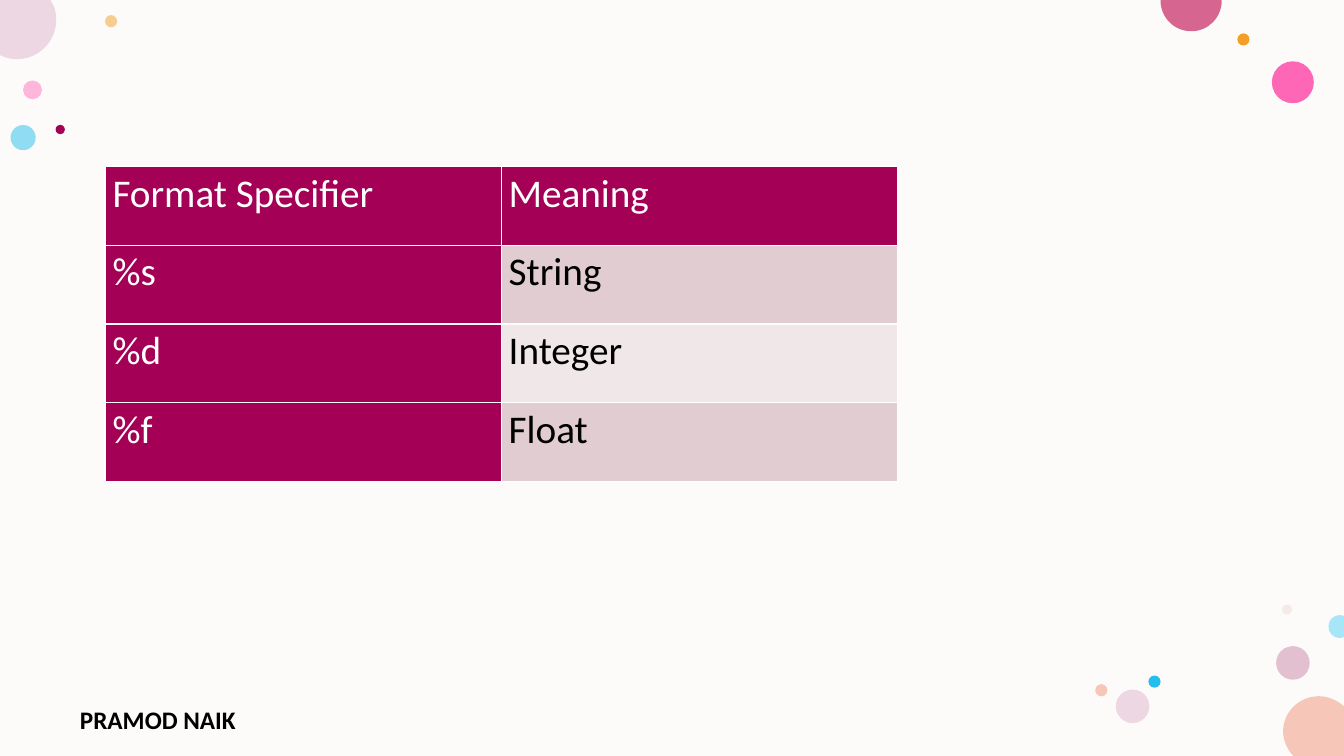
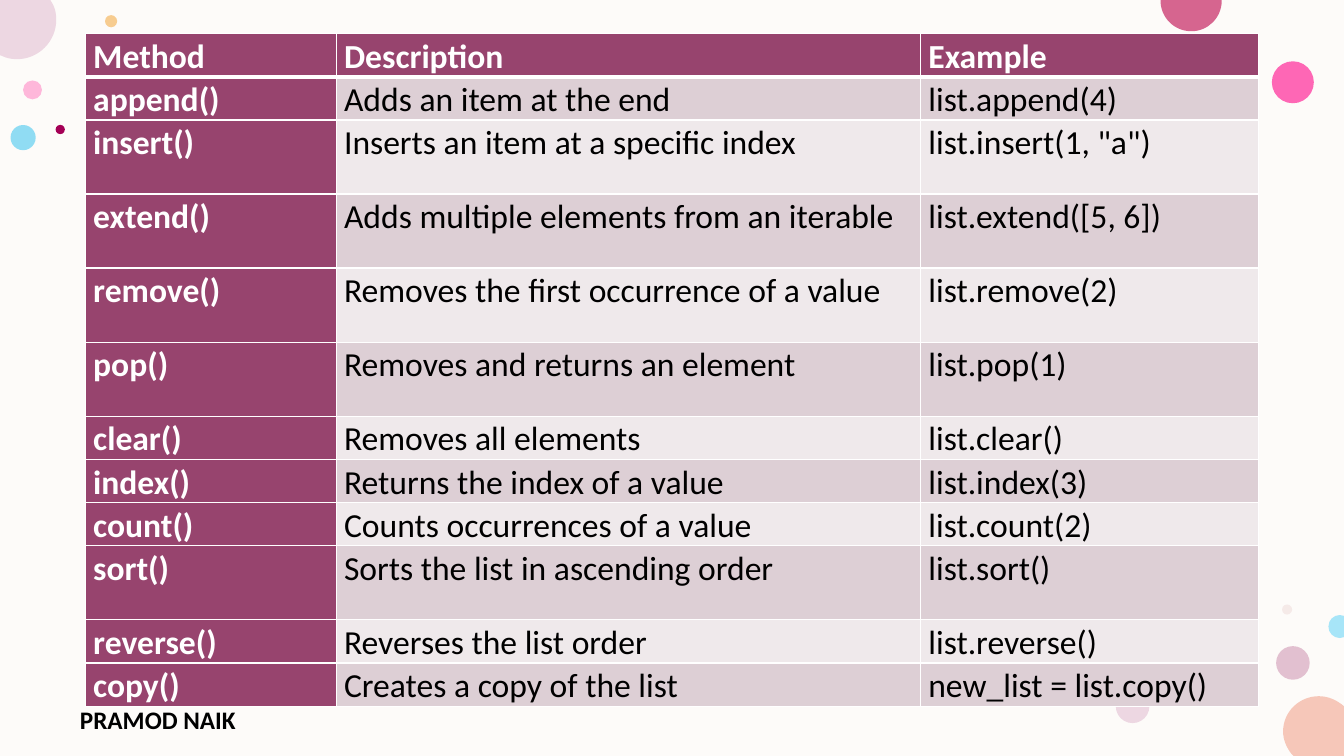
from lxml.etree import SubElement
from pptx import Presentation
from pptx.dml.color import RGBColor
from pptx.enum.shapes import MSO_SHAPE
from pptx.oxml.ns import qn
from pptx.util import Pt

W, H = 960, 540
FONT = "Calibri"
FOOTER = "PRAMOD NAIK"

COLORS = {
    "paper": "FDFBF9", "white": "FFFFFF", "black": "000000",
    "magenta": "A40056", "magenta_mid": "E0CCD1", "magenta_pale": "F0E7E9",
    "plum": "97446E", "plum_mid": "DDCFD5", "plum_pale": "EFE9EB",
    "pink": "FF75BD", "hot_pink": "FF2F9C", "rose": "D6658F",
    "orange": "F39E29", "mauve": "C987A8", "lilac": "EDD7E2",
    "blush": "E3BEBE", "peach": "F6C7B9", "blue": "24BEEE", "sky": "A7E5F8",
}

# left, top, diameter, colour, opacity in percent
DOTS = [
    (16.5, 57.5, 13.5, "pink", 50),
    (75, 10.8, 8.7, "orange", 50),
    (911.5, 461.5, 24, "mauve", 50),
    (7.5, 89.3, 18, "blue", 50),
    (908.5, 43.8, 30, "hot_pink", 72),
    (883.8, 23.8, 8.7, "orange", 100),
    (915.8, 431.8, 7.2, "blush", 28),
    (820.3, 482.5, 8.7, "blue", 100),
    (797, 492.5, 24, "lilac", 100),
    (782.3, 488.7, 8.7, "peach", 100),
    (39.7, 89.2, 6.6, "magenta", 100),
]

# Circles cut by the slide edge: colour, start, then lines (x, y)
# and curves (two control points and an end point)
CUT_CIRCLES = [
    ("peach", (942, 497.3), [
        (949, 497.3, 955, 500.2, 960, 504.5), (960, 540), (924, 540), (922.5, 538.5),
        (919, 534, 916.5, 528.5, 916.5, 522.5), (916.5, 508.5, 928, 497.3, 942, 497.3)]),
    ("lilac", (0, 0), [
        (36, 0), (38, 3.5), (39.5, 6.5, 40.2, 10, 40.2, 14.2),
        (40.2, 29.6, 27.6, 42.3, 12.2, 42.3), (8, 42.3, 4.5, 41.5, 1.5, 40), (0, 39.5)]),
    ("rose", (829.2, 0), [
        (872.6, 0), (872.7, 0.5),
        (872.7, 12.5, 863, 22.3, 851, 22.3), (838.8, 22.3, 829, 12.5, 829, 0.5)]),
    ("sky", (957, 439.3), [
        (960, 439.9), (960, 455.1), (957, 455.7),
        (952.5, 455.7, 948.9, 452, 948.9, 447.5), (948.9, 443, 952.5, 439.3, 957, 439.3)]),
]

SHORT, TALL = 26, 52.9
TABLES = [
    dict(
        left=75, top=119, cols=[283, 283], heights=[56.25] * 4,
        size=28, bold=False, header_rule=1, palette="magenta",
        rows=[
            ("Format Specifier", "Meaning"),
            ("%s", "String"),
            ("%d", "Integer"),
            ("%f", "Float"),
        ],
    ),
    dict(
        left=61.2, top=24, cols=[179.2, 417.4, 241.2],
        heights=[SHORT] * 2 + [TALL] * 4 + [SHORT] * 3 + [TALL] + [SHORT] * 2,
        size=24, bold=True, header_rule=3, palette="plum",
        rows=[
            ("Method", "Description", "Example"),
            ("append()", "Adds an item at the end", "list.append(4)"),
            ("insert()", "Inserts an item at a specific index", 'list.insert(1, "a")'),
            ("extend()", "Adds multiple elements from an iterable", "list.extend([5, 6])"),
            ("remove()", "Removes the first occurrence of a value", "list.remove(2)"),
            ("pop()", "Removes and returns an element", "list.pop(1)"),
            ("clear()", "Removes all elements", "list.clear()"),
            ("index()", "Returns the index of a value", "list.index(3)"),
            ("count()", "Counts occurrences of a value", "list.count(2)"),
            ("sort()", "Sorts the list in ascending order", "list.sort()"),
            ("reverse()", "Reverses the list order", "list.reverse()"),
            ("copy()", "Creates a copy of the list", "new_list = list.copy()"),
        ],
    ),
]


def rgb(name):
    return RGBColor.from_string(COLORS[name])


def paint(sp, color, opacity=100):
    sp.shadow.inherit = False
    sp.fill.solid()
    sp.fill.fore_color.rgb = rgb(color)
    sp.line.fill.background()
    if opacity < 100:
        clr = sp._element.spPr.find(qn("a:solidFill"))[0]
        SubElement(clr, qn("a:alpha"), val=str(opacity * 1000))


def add_cut_circle(s, color, start, segments):
    """Build the outline through all points, then turn point triples into curves."""
    points = [(Pt(seg[i]), Pt(seg[i + 1])) for seg in segments for i in range(0, len(seg), 2)]
    builder = s.shapes.build_freeform(Pt(start[0]), Pt(start[1]))
    builder.add_line_segments(points, close=True)
    sp = builder.convert_to_shape()
    paint(sp, color)
    lines = iter(list(sp._element.iter(qn("a:lnTo"))))
    for seg in segments:
        line = next(lines)
        if len(seg) == 6:
            line.addprevious(curve := line.makeelement(qn("a:cubicBezTo")))
            for part in (line, next(lines), next(lines)):
                curve.append(part[0])
                part.getparent().remove(part)


def format_text(p, size, color, bold):
    for r in p.runs:
        r.font.name = FONT
        r.font.size = Pt(size)
        r.font.bold = bold
        r.font.color.rgb = rgb(color)


def add_decor(s):
    paint(s.shapes.add_shape(MSO_SHAPE.RECTANGLE, 0, 0, Pt(W), Pt(H)), "paper")
    for left, top, size, color, opacity in DOTS:
        dot = s.shapes.add_shape(MSO_SHAPE.OVAL, Pt(left), Pt(top), Pt(size), Pt(size))
        paint(dot, color, opacity)
    for circle in CUT_CIRCLES:
        add_cut_circle(s, *circle)
    tf = s.shapes.add_textbox(Pt(50), Pt(499.5), Pt(176), Pt(29)).text_frame
    tf.word_wrap = True
    tf.text = FOOTER
    format_text(tf.paragraphs[0], 18, "black", True)


def set_borders(cell, top, bottom):
    """Add white borders, ahead of the fill as the schema orders them."""
    tc_pr = cell._tc.get_or_add_tcPr()
    widths = {"a:lnL": 1, "a:lnR": 1, "a:lnT": top, "a:lnB": bottom}
    for i, (tag, width) in enumerate(widths.items()):
        ln = SubElement(tc_pr, qn(tag), w=str(Pt(width)))
        fill = SubElement(ln, qn("a:solidFill"))
        SubElement(fill, qn("a:srgbClr"), val=COLORS["white"])
        tc_pr.insert(i, ln)


def add_grid(s, left, top, cols, heights, size, bold, header_rule, palette, rows):
    frame = s.shapes.add_table(len(rows), len(cols), Pt(left), Pt(top),
                               Pt(sum(cols)), Pt(sum(heights)))
    table = frame.table
    for col, width in zip(table.columns, cols):
        col.width = Pt(width)
    for row, height in zip(table.rows, heights):
        row.height = Pt(height)
    for i, texts in enumerate(rows):
        band = palette + ("_mid" if i % 2 else "_pale")
        for j, text in enumerate(texts):
            cell = table.cell(i, j)
            is_head = i == 0 or j == 0
            cell.fill.solid()
            cell.fill.fore_color.rgb = rgb(palette if is_head else band)
            cell.margin_left = cell.margin_right = Pt(5.4)
            cell.margin_top = cell.margin_bottom = 0
            cell.text_frame.text = text
            p = cell.text_frame.paragraphs[0]
            p.line_spacing = 1.07
            p.space_after = Pt(8)
            format_text(p, size, "white" if is_head else "black", bold and is_head)
            set_borders(cell, header_rule if i == 1 else 1, header_rule if i == 0 else 1)


def main():
    prs = Presentation()
    prs.slide_width, prs.slide_height = Pt(W), Pt(H)
    layout = prs.slide_layouts[6]
    slides = [prs.slides.add_slide(layout) for _ in TABLES]
    # Layouts offer no drawing methods: draw on a slide, then move to the layout
    add_decor(slides[0])
    for sp in list(slides[0].shapes):
        layout.shapes._spTree.append(sp._element)
    for s, grid in zip(slides, TABLES):
        add_grid(s, **grid)
    prs.save("out.pptx")


if __name__ == "__main__":
    main()
